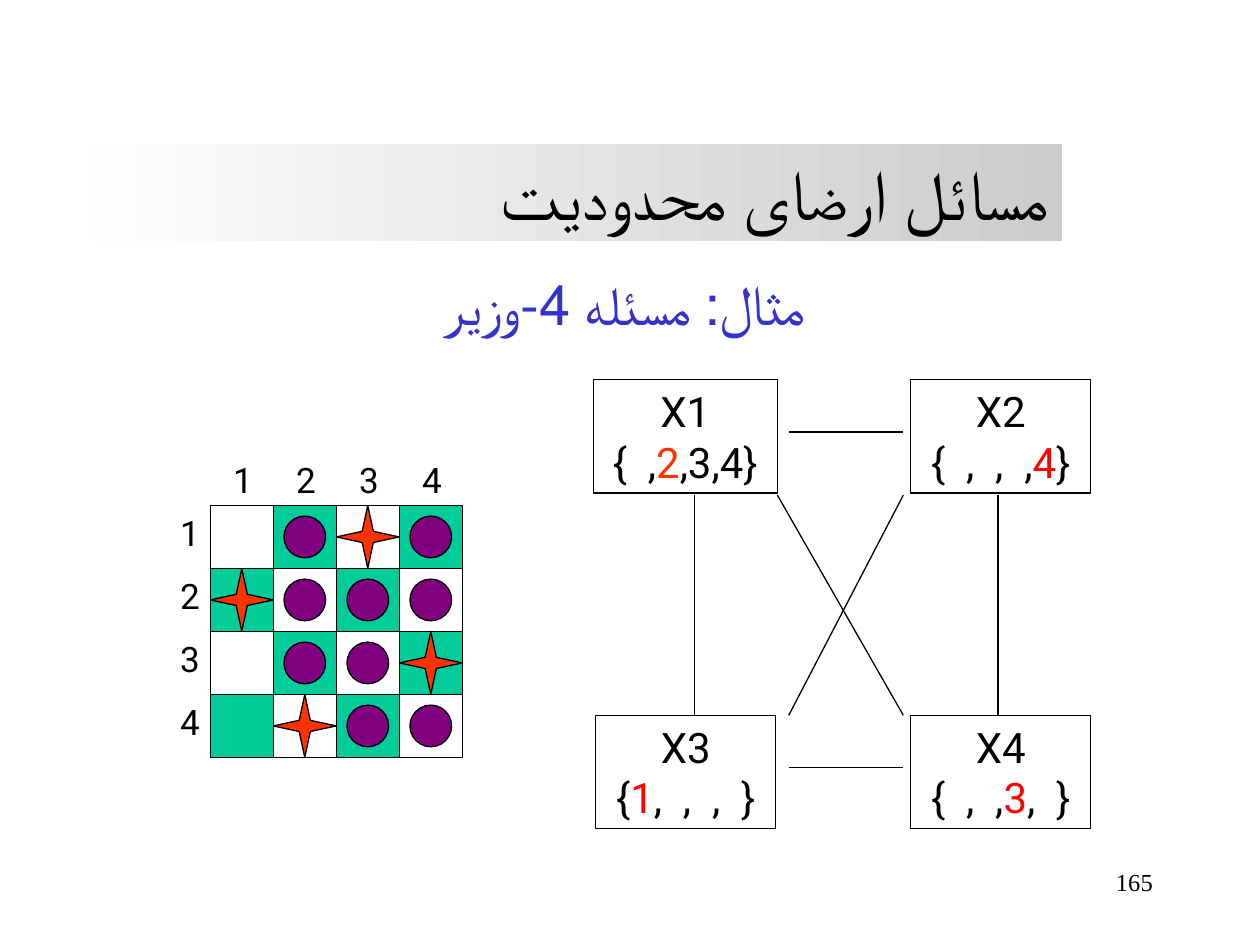
import dataclasses

import pptx
import pptx.dml.color
import pptx.enum.shapes
import pptx.enum.text
import pptx.oxml.ns
import pptx.util
from lxml import etree

Cm = pptx.util.Cm
Pt = pptx.util.Pt
Shape = pptx.enum.shapes.MSO_SHAPE
Align = pptx.enum.text.PP_ALIGN
AutoSize = pptx.enum.text.MSO_AUTO_SIZE
Anchor = pptx.enum.text.MSO_ANCHOR


@dataclasses.dataclass(frozen=True)
class Theme:
    ink: str = "000000"
    heading: str = "3333CC"
    square: str = "00CC99"
    queen: str = "FF3300"
    attacked: str = "800080"
    choice: str = "FF0000"
    band: tuple = ("FFFFFF", "CCCCCC")
    title_size: int = 40
    heading_size: int = 32
    variable_size: int = 24
    label_size: int = 20
    number_size: int = 14
    line_width: float = 0.75
    serif: str = "Times New Roman"
    sans: str = "Arial"
    label_font: str = "Roboto"


THEME = Theme()

BOARD_LEFT, BOARD_TOP, CELL, DISC = 4.24, 10.19, 1.27, 0.84
# Q is a queen, o an attacked square, . a free one
BOARD = [".oQo", "Qooo", ".ooQ", ".Qoo"]

# name, left, top, width, domain before the choice, choice, domain after, colour
VARIABLES = [
    ("X1", 11.96, 7.65, 3.71, "{  ,", "2", ",3,4}", THEME.queen),
    ("X3", 12.01, 14.42, 3.63, "{", "1", ",  ,  ,  }", THEME.choice),
    ("X4", 18.36, 14.42, 3.63, "{  ,  ,", "3", ",  }", THEME.choice),
    ("X2", 18.36, 7.65, 3.63, "{  ,  ,  ,", "4", "}", THEME.choice),
]

CONSTRAINTS = [
    (15.9, 8.71, 18.21, 8.71),
    (14, 9.98, 14, 14.42),
    (15.9, 15.47, 18.21, 15.47),
    (20.12, 9.98, 20.12, 14.42),
    (15.67, 9.98, 18.21, 14.42),
    (18.21, 9.98, 15.9, 14.42),
]


def rgb(colour):
    return pptx.dml.color.RGBColor.from_string(colour)


def style(paragraph, size, font, colour=THEME.ink, align=Align.LEFT):
    paragraph.alignment = align
    paragraph.font.size = Pt(size)
    paragraph.font.name = font
    paragraph.font.color.rgb = rgb(colour)


def add_text(page, left, top, width, height, text, size, font,
             colour=THEME.ink, align=Align.LEFT, wrap=True):
    box = page.shapes.add_textbox(Cm(left), Cm(top), Cm(width), Cm(height))
    box.text_frame.word_wrap = wrap
    paragraph = box.text_frame.paragraphs[0]
    paragraph.text = text
    style(paragraph, size, font, colour, align)
    return box


def add_figure(page, kind, left, top, width, height, fill=None):
    """Add an outlined preset shape, hollow when no fill is given."""
    shape = page.shapes.add_shape(kind, Cm(left), Cm(top), Cm(width), Cm(height))
    shape.shadow.inherit = False
    shape.line.color.rgb = rgb(THEME.ink)
    shape.line.width = Pt(THEME.line_width)
    if fill:
        shape.fill.solid()
        shape.fill.fore_color.rgb = rgb(fill)
    else:
        shape.fill.background()
    return shape


def add_title(page, text):
    band = add_text(page, 1.09, 2.9, 20.32, 1.96, text, THEME.title_size,
                    THEME.serif, align=Align.RIGHT)
    band.fill.gradient()
    band.fill.gradient_angle = 0
    for stop, position, colour in zip(band.fill.gradient_stops, (0, 1), THEME.band):
        stop.position = position
        stop.color.rgb = rgb(colour)


def add_heading(page, text):
    box = add_text(page, 2.49, 5.31, 20.19, 1.63, text, THEME.heading_size,
                   THEME.sans, THEME.heading, Align.CENTER)
    box.text_frame.paragraphs[0]._p.get_or_add_pPr().set("rtl", "1")


def add_board(page):
    count = len(BOARD)
    add_figure(page, Shape.RECTANGLE, BOARD_LEFT, BOARD_TOP, count * CELL, count * CELL)
    for index in range(count):
        offset = index * CELL
        for left, top in ((3.38, BOARD_TOP + offset), (4.45 + offset, 9.12)):
            add_text(page, left, top, 0.91, 1.12, str(index + 1),
                     THEME.label_size, THEME.label_font, wrap=False)
    for row, marks in enumerate(BOARD):
        for column, mark in enumerate(marks):
            add_cell(page, row, column, mark)


def add_cell(page, row, column, mark):
    left, top = BOARD_LEFT + column * CELL, BOARD_TOP + row * CELL
    if (row + column) % 2:
        add_figure(page, Shape.RECTANGLE, left, top, CELL, CELL, THEME.square)
    if mark == "Q":
        add_figure(page, Shape.STAR_4_POINT, left, top, CELL, CELL, THEME.queen)
    elif mark == "o":
        inset = (CELL - DISC) / 2
        add_figure(page, Shape.OVAL, left + inset, top + inset, DISC, DISC,
                   THEME.attacked)


def add_variable(page, name, left, top, width, before, choice, after, colour):
    box = add_figure(page, Shape.RECTANGLE, left, top, width, 2.29)
    frame = box.text_frame
    frame.word_wrap = False
    frame.auto_size = AutoSize.SHAPE_TO_FIT_TEXT
    frame.vertical_anchor = Anchor.TOP
    frame.paragraphs[0].text = name
    domain = frame.add_paragraph()
    for text, span_colour in ((before, THEME.ink), (choice, colour), (after, THEME.ink)):
        span = domain.add_run()
        span.text = text
        span.font.color.rgb = rgb(span_colour)
    for paragraph in frame.paragraphs:
        style(paragraph, THEME.variable_size, THEME.label_font, align=Align.CENTER)


def add_constraint(page, *ends):
    line = page.shapes.add_connector(pptx.enum.shapes.MSO_CONNECTOR.STRAIGHT,
                                     *(Cm(end) for end in ends))
    line.line.color.rgb = rgb(THEME.ink)
    line.line.width = Pt(THEME.line_width)
    etree.SubElement(line._element.spPr, pptx.oxml.ns.qn("a:effectLst"))


def main():
    deck = pptx.Presentation()
    deck.slide_width, deck.slide_height = Cm(25.4), Cm(19.05)
    page = deck.slides.add_slide(deck.slide_layouts[6])
    add_text(page, 18.21, 17.35, 5.28, 1.27, "165", THEME.number_size,
             THEME.serif, align=Align.RIGHT)
    add_board(page)
    for variable in VARIABLES:
        add_variable(page, *variable)
    for ends in CONSTRAINTS:
        add_constraint(page, *ends)
    add_heading(page, "مثال: مسئله 4-وزير")
    add_title(page, "مسائل ارضای محدوديت")
    deck.save("out.pptx")


if __name__ == "__main__":
    main()
